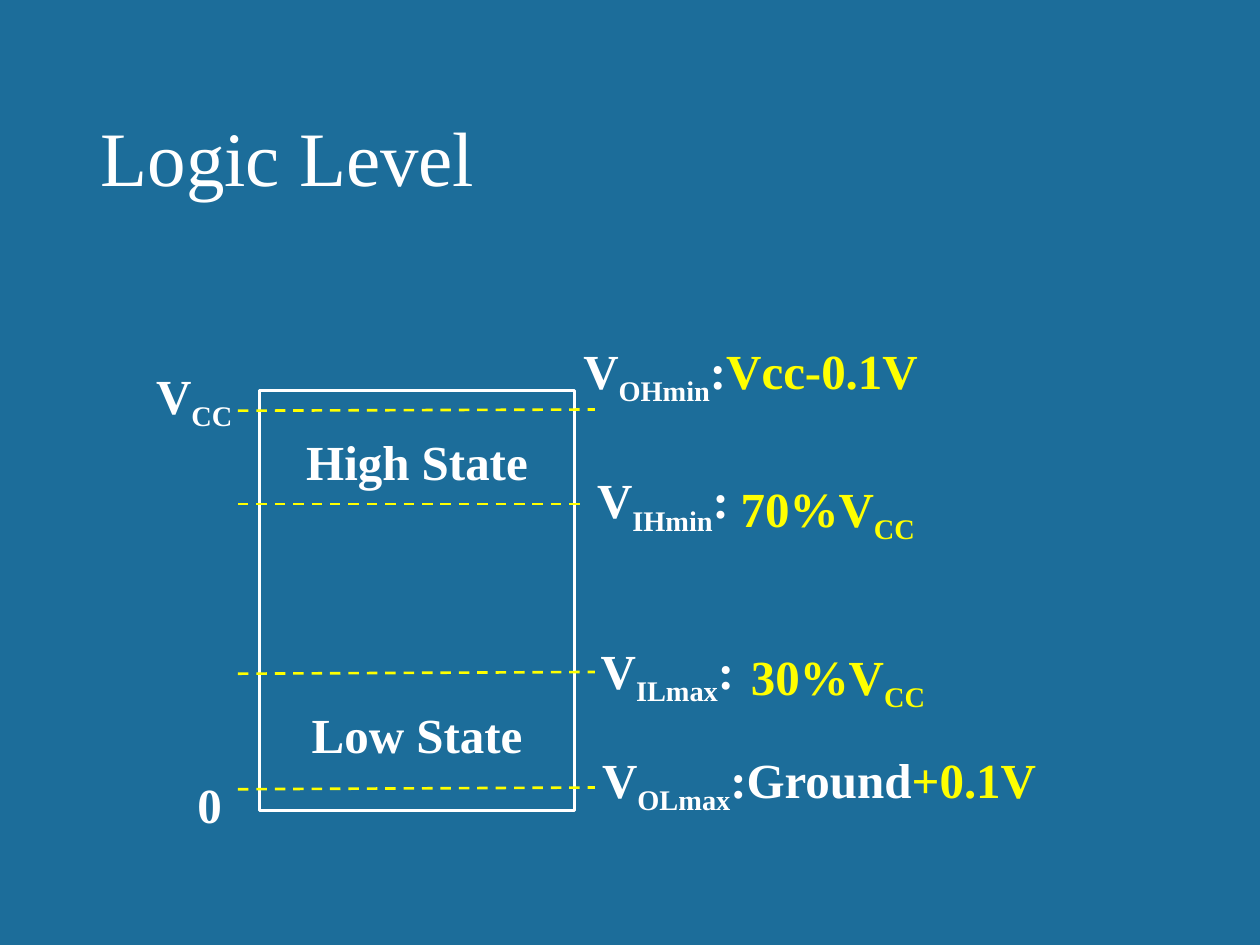
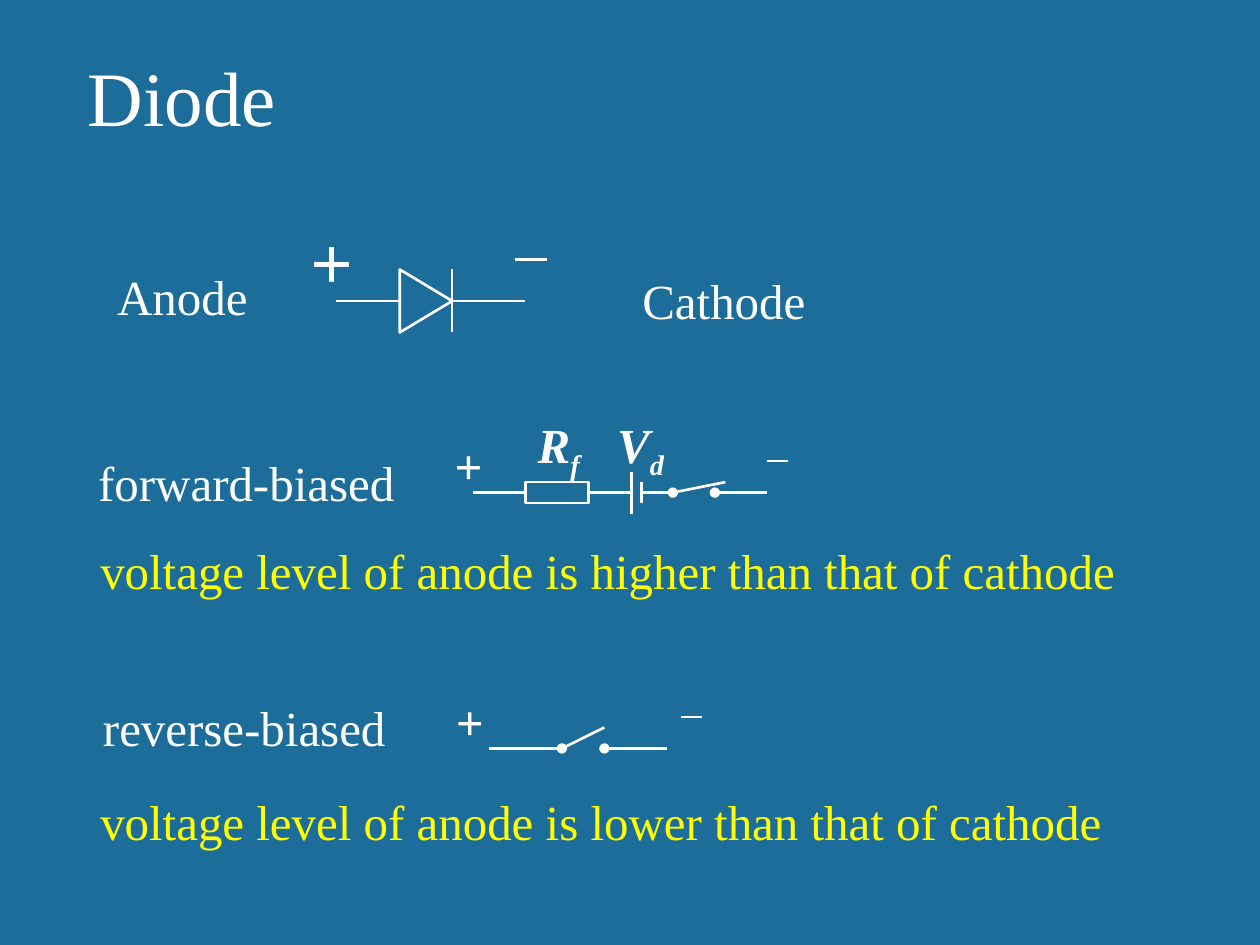
"""Build two slides on logic levels and the diode."""
from lxml.etree import SubElement
from pptx import Presentation
from pptx.dml.color import RGBColor
from pptx.enum.dml import MSO_LINE
from pptx.enum.shapes import MSO_CONNECTOR, MSO_SHAPE
from pptx.enum.text import MSO_ANCHOR, MSO_AUTO_SIZE, PP_ALIGN
from pptx.oxml.ns import qn
from pptx.util import Pt

FONT = "Times New Roman"
BACK, WHITE, YELLOW = "1C6D9A", "FFFFFF", "FFFF00"
BODY, TITLE, LINE = 28, 44, 1.5
ROW = 41


def paint(form, hue):
    """Give a fill a solid colour."""
    form.solid()
    form.fore_color.rgb = RGBColor.from_string(hue)


def add_run(para, words, hue=WHITE, size=BODY, bold=False, slant=False, sub=False):
    """Add one run of text to a paragraph."""
    run = para.add_run()
    run.text = words
    font = run.font
    font.name, font.size, font.bold, font.italic = FONT, Pt(size), bold, slant
    paint(font.fill, hue)
    if sub:
        run._r.get_or_add_rPr().set("baseline", "-25000")


def add_text(slide, left, top, width, words, wrap=False, high=ROW, **style):
    """Add a one-line text box and return its paragraph."""
    box = slide.shapes.add_textbox(Pt(left), Pt(top), Pt(width), Pt(high))
    frame = box.text_frame
    frame.word_wrap = wrap
    frame.auto_size = MSO_AUTO_SIZE.SHAPE_TO_FIT_TEXT
    para = frame.paragraphs[0]
    add_run(para, words, **style)
    return para


def add_sign(slide, left, top, width, base, sub, tail="", hue=WHITE, slant=False, wrap=False):
    """Add a bold symbol with a subscript, and return its paragraph."""
    look = {"hue": hue, "bold": True, "slant": slant}
    para = add_text(slide, left, top, width, base, wrap, **look)
    add_run(para, sub, sub=True, **look)
    if tail:
        add_run(para, tail, **look)
    return para


def add_line(slide, x1, y1, x2, y2, hue=WHITE, dash=False, dot=False):
    """Draw a straight line, dashed or with a dot at its start."""
    line = slide.shapes.add_connector(
        MSO_CONNECTOR.STRAIGHT, Pt(x1), Pt(y1), Pt(x2), Pt(y2))
    paint(line.line.fill, hue)
    line.line.width = Pt(LINE)
    if dash:
        line.line.dash_style = MSO_LINE.DASH
    props = line._element.spPr
    if dot:
        SubElement(props.find(qn("a:ln")), qn("a:headEnd"), type="oval")
    SubElement(props, qn("a:effectLst"))


def add_frame(slide, kind, left, top, width, high):
    """Draw an unfilled shape with a white outline."""
    shape = slide.shapes.add_shape(kind, Pt(left), Pt(top), Pt(width), Pt(high))
    shape.shadow.inherit = False
    shape.fill.background()
    paint(shape.line.fill, WHITE)
    shape.line.width = Pt(LINE)
    return shape


def add_switch(slide, y, pivot, tip, rise, gap, end):
    """Draw an open switch with its arm and the wire after it."""
    add_line(slide, pivot, y, tip, y - rise, dot=True)
    add_line(slide, gap, y, end, y, dot=True)


def add_slide(deck, title, left, top, width):
    """Add a blank slide with the shared ground and title."""
    slide = deck.slides.add_slide(deck.slide_layouts[6])
    paint(slide.background.fill, BACK)
    add_text(slide, left, top, width, title, high=60.5, size=TITLE)
    return slide


def add_states(slide):
    """Draw the voltage range with its high and low states."""
    frame = add_frame(slide, MSO_SHAPE.RECTANGLE, 148.3, 223.2, 180, 240).text_frame
    frame.word_wrap = False
    frame.vertical_anchor = MSO_ANCHOR.TOP
    frame.margin_top = Pt(23.3)
    high, low = frame.paragraphs[0], frame.add_paragraph()
    low.space_before = Pt(122.7)
    for para, words in ((high, "High State"), (low, "Low State")):
        para.alignment = PP_ALIGN.CENTER
        add_run(para, words, bold=True)


def logic_slide(deck):
    """Build the slide of logic levels."""
    slide = add_slide(deck, "Logic Level", 50.4, 59, 230.4)
    add_states(slide)
    levels = ((234.7, 234, 340), (288, 288, 334), (385, 384, 340), (451, 450, 340))
    for start, stop, right in levels:
        add_line(slide, 136, start, right, stop, YELLOW, dash=True)
    add_sign(slide, 82.1, 205.2, 84.2, "V", "CC", wrap=True)
    add_text(slide, 105.8, 439.2, 36, "0", wrap=True, bold=True)
    top = add_sign(slide, 326.2, 190.8, 272.2, "V", "OHmin", ":", wrap=True)
    add_run(top, "Vcc-0.1V", YELLOW, bold=True)
    add_sign(slide, 334.1, 265, 97.9, "V", "IHmin", ":")
    add_sign(slide, 336.2, 362.2, 98.6, "V", "ILmax", ":")
    base = add_sign(slide, 337, 424.8, 319.7, "V", "OLmax", ":Ground", wrap=True)
    add_run(base, "+0.1V", YELLOW, bold=True)
    add_sign(slide, 416.2, 270, 167.8, "70%V", "CC", hue=YELLOW, wrap=True)
    add_sign(slide, 422, 365.8, 174.2, "30%V", "CC", hue=YELLOW, wrap=True)


def add_diode(slide):
    """Draw the diode symbol with its two ends."""
    y, base, tip = 172, 228.2, 258.4
    shape = add_frame(slide, MSO_SHAPE.ISOSCELES_TRIANGLE, 225.4, 157, 36, 30)
    shape.rotation = 90
    add_line(slide, tip, y - 18, tip, y + 18)
    add_line(slide, tip, y, 300.2, y)
    add_line(slide, base, y, 192.2, y)
    add_text(slide, 168.5, 130.3, 43.2, "＋", bold=True)
    add_line(slide, 294.5, 148.2, 312.5, 148.2)
    add_text(slide, 59.8, 149, 90, "Anode")
    add_text(slide, 360, 151.2, 108.7, "Cathode")


def add_bias(slide, name, left, top, width, plus, minus, note):
    """Add the label, poles and note of one way of bias."""
    add_text(slide, left, top, width, name)
    add_text(slide, plus, top - 9.4 + 5.8 * (name == "reverse-biased"), 31, "+", bold=True)
    x, y = minus
    add_line(slide, x, y, x + 12, y)
    add_text(slide, 50.2, note, 658, f"voltage level of anode is {'lower' if name == 'reverse-biased' else 'higher'} than that of cathode",
             wrap=True, hue=YELLOW)


def forward(slide):
    """Draw the circuit of the diode under forward bias."""
    y = 281.5
    add_frame(slide, MSO_SHAPE.RECTANGLE, 300.2, y - 6, 36, 12)
    for start, stop in ((270.5, 300.2), (336.2, 360.7), (366.5, 384.5)):
        add_line(slide, start, y, stop, y)
    for x, half in ((360.7, 12), (366.5, 6)):
        add_line(slide, x, y - half, x, y + half)
    add_switch(slide, y, 384.5, 414.5, 6, 408.5, 438.5)
    add_sign(slide, 300.2, 233.3, 39.6, "R", "f", slant=True)
    add_sign(slide, 345.6, 233.3, 43.2, "V", "d", slant=True)
    add_bias(slide, "forward-biased", 49, 254.9, 185.8, 252.7, (438.5, 263.5), 305.3)


def reverse(slide):
    """Draw the circuit of the diode under reverse bias."""
    y = 427.7
    add_line(slide, 279.4, y, 321.1, y)
    add_switch(slide, y, 321.1, 345.4, 12, 345.4, 381.4)
    add_bias(slide, "reverse-biased", 51.8, 395.3, 177.8, 253.4, (389.3, 409.7), 448.6)


def diode_slide(deck):
    """Build the slide of the diode."""
    slide = add_slide(deck, "Diode", 43.2, 24.5, 125.3)
    add_diode(slide)
    forward(slide)
    reverse(slide)


def main():
    """Build and save the deck."""
    deck = Presentation()
    deck.slide_width, deck.slide_height = Pt(720), Pt(540)
    logic_slide(deck)
    diode_slide(deck)
    deck.save("out.pptx")


if __name__ == "__main__":
    main()
